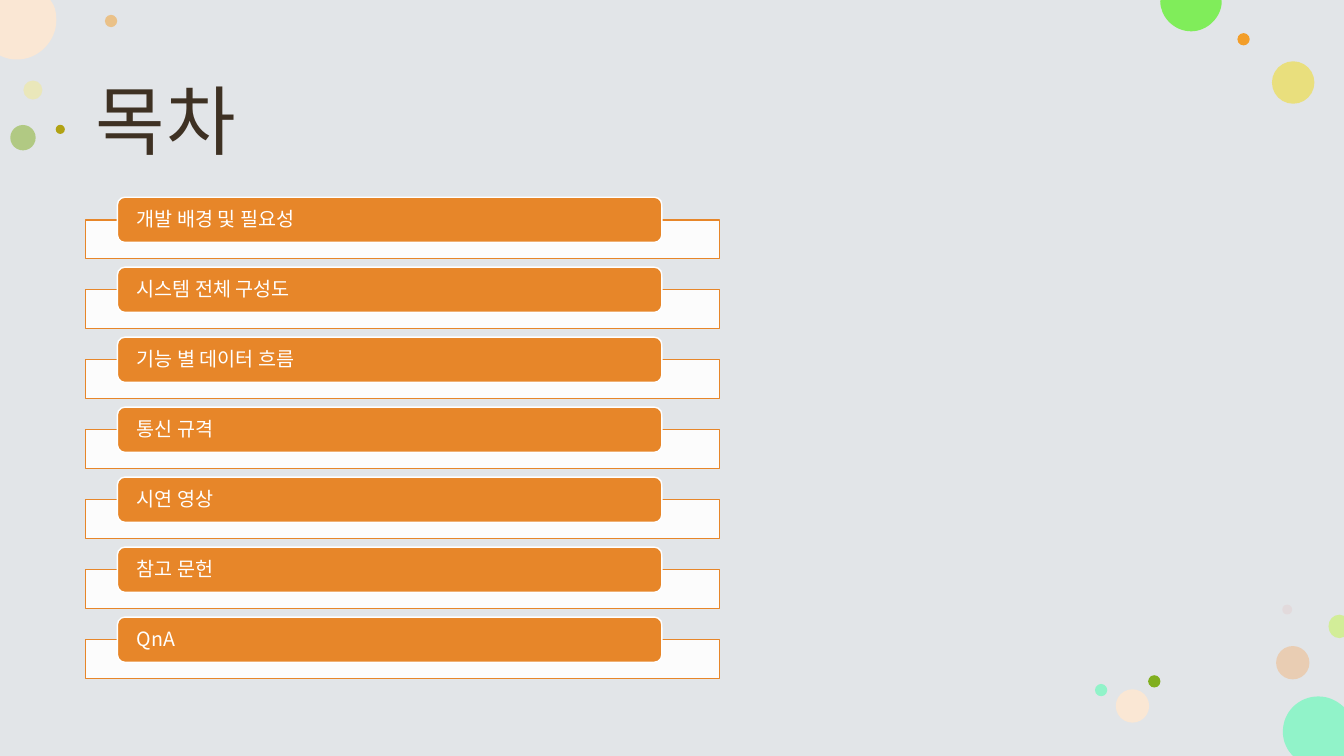
from dataclasses import dataclass

from lxml import etree
from pptx import Presentation
from pptx import util as u
from pptx.dml.color import RGBColor
from pptx.enum import shapes, text
from pptx.oxml.ns import qn

FONT = "Noto Sans CJK KR"
SLIDE_W, SLIDE_H = 33.87, 19.05

BACKGROUND = RGBColor(0xE2, 0xE5, 0xE8)
BROWN = RGBColor(0x3E, 0x31, 0x23)
WHITE = RGBColor(0xFF, 0xFF, 0xFF)
ACCENT = RGBColor(0xE7, 0x86, 0x29)
PALE_YELLOW = RGBColor(0xF3, 0xE9, 0x8E)
YELLOW = RGBColor(0xED, 0xDE, 0x55)
ORANGE = RGBColor(0xF3, 0x9E, 0x29)
PEACH = RGBColor(0xF1, 0xB6, 0x7F)
CREAM = RGBColor(0xFA, 0xE7, 0xD4)
ROSE = RGBColor(0xE3, 0xBE, 0xBE)
GREEN = RGBColor(0x81, 0xAF, 0x1F)
BRIGHT_GREEN = RGBColor(0x80, 0xED, 0x5A)
LIME = RGBColor(0xD2, 0xED, 0x98)
MINT = RGBColor(0x91, 0xF3, 0xC9)
OLIVE = RGBColor(0xB1, 0xA2, 0x13)

TOPICS = [
    "개발 배경 및 필요성",
    "시스템 전체 구성도",
    "기능 별 데이터 흐름",
    "통신 규격",
    "시연 영상",
    "참고 문헌",
    "QnA",
]
FIRST_TOP, LAST_TOP = 4.97, 15.55
PITCH = (LAST_TOP - FIRST_TOP) / (len(TOPICS) - 1)

Point = tuple[float, float]


@dataclass(frozen=True)
class Bubble:
    x: float
    y: float
    diameter: float
    color: RGBColor
    opacity: int = 100


@dataclass(frozen=True)
class EdgeBubble:
    color: RGBColor
    start: Point
    segments: list[list[Point]]


BUBBLES = [
    Bubble(0.83, 2.27, 0.48, PALE_YELLOW, 50),
    Bubble(2.8, 0.53, 0.31, ORANGE, 50),
    Bubble(32.58, 16.7, 0.84, PEACH, 50),
    Bubble(0.58, 3.47, 0.64, GREEN, 50),
    Bubble(32.59, 2.08, 1.07, YELLOW, 72),
    Bubble(31.34, 0.99, 0.31, ORANGE),
    Bubble(32.44, 15.36, 0.25, ROSE, 28),
    Bubble(29.09, 17.17, 0.31, GREEN),
    Bubble(28.54, 17.79, 0.84, CREAM),
    Bubble(27.75, 17.39, 0.31, MINT),
    Bubble(1.52, 3.26, 0.23, OLIVE),
]

EDGE_BUBBLES = [
    EdgeBubble(MINT, (33.22, 17.55), [
        [(33.48, 17.55), (33.68, 17.65), (33.86, 17.81)],
        [(33.87, 17.83)], [(33.87, 19.05)], [(32.59, 19.05)], [(32.54, 19)],
        [(32.41, 18.85), (32.33, 18.65), (32.33, 18.44)],
        [(32.33, 17.93), (32.74, 17.55), (33.22, 17.55)],
    ]),
    EdgeBubble(CREAM, (0, 0), [
        [(1.27, 0)], [(1.35, 0.13)],
        [(1.4, 0.23), (1.42, 0.36), (1.42, 0.51)],
        [(1.42, 1.04), (0.97, 1.5), (0.43, 1.5)],
        [(0.28, 1.5), (0.15, 1.47), (0.05, 1.42)],
        [(0, 1.4)],
    ]),
    EdgeBubble(BRIGHT_GREEN, (29.25, 0), [
        [(30.78, 0)], [(30.79, 0.03)],
        [(30.79, 0.43), (30.43, 0.79), (30.02, 0.79)],
        [(29.59, 0.79), (29.24, 0.43), (29.24, 0.03)],
    ]),
    EdgeBubble(LIME, (33.76, 15.49), [
        [(33.87, 15.52)], [(33.87, 16.05)], [(33.76, 16.08)],
        [(33.6, 16.08), (33.48, 15.95), (33.48, 15.78)],
        [(33.48, 15.62), (33.6, 15.49), (33.76, 15.49)],
    ]),
]


def paint(sp, color: RGBColor, opacity: int = 100, line: RGBColor | None = None) -> None:
    sp.shadow.inherit = False
    sp.fill.solid()
    sp.fill.fore_color.rgb = color
    if opacity < 100:
        srgb = sp.fill._xPr.find(qn("a:solidFill"))[0]
        etree.SubElement(srgb, qn("a:alpha"), val=str(opacity * 1000))
    if line is None:
        sp.line.fill.background()
    else:
        sp.line.color.rgb = line
        sp.line.width = u.Pt(1)


def add_preset(s, kind, left: float, top: float, width: float, height: float):
    return s.shapes.add_shape(kind, u.Cm(left), u.Cm(top), u.Cm(width), u.Cm(height))


def add_bubble(s, b: Bubble) -> None:
    radius = b.diameter / 2
    sp = add_preset(s, shapes.MSO_SHAPE.OVAL, b.x - radius, b.y - radius,
                    b.diameter, b.diameter)
    paint(sp, b.color, b.opacity)


def add_edge_bubble(s, b: EdgeBubble) -> None:
    builder = s.shapes.build_freeform(u.Cm(b.start[0]), u.Cm(b.start[1]))
    points = [(u.Cm(x), u.Cm(y)) for segment in b.segments for x, y in segment]
    builder.add_line_segments(points, close=True)
    sp = builder.convert_to_shape()
    steps = iter(list(sp._element.iter(qn("a:lnTo"))))
    for segment in b.segments:
        group = [next(steps) for _ in segment]
        if len(group) == 3:
            curve = etree.Element(qn("a:cubicBezTo"))
            group[0].addprevious(curve)
            for step in group:
                curve.append(step[0])
                step.getparent().remove(step)
    paint(sp, b.color)


def write(sp, content: str, size: float, color: RGBColor, spacing: float,
          insets: tuple[float, float, float, float]):
    tf = sp.text_frame
    tf.text = content
    tf.word_wrap = True
    tf.auto_size = text.MSO_AUTO_SIZE.NONE
    tf.vertical_anchor = text.MSO_ANCHOR.MIDDLE
    tf.margin_left, tf.margin_top, tf.margin_right, tf.margin_bottom = map(u.Cm, insets)
    p = tf.paragraphs[0]
    p.alignment = text.PP_ALIGN.LEFT
    p.line_spacing = spacing
    p.font.size = u.Pt(size)
    p.font.color.rgb = color
    p.font.name = FONT
    p.font._rPr.set("kern", "1200")
    etree.SubElement(p.font._rPr, qn("a:ea"), typeface=FONT)
    return p


def add_title(s) -> None:
    title = s.shapes.title
    title.left, title.top = u.Cm(2.11), u.Cm(1.02)
    title.width, title.height = u.Cm(29.62), u.Cm(3.68)
    p = write(title, "목차", 54, BROWN, 1.1, (0.3, 0.3, 0.3, 0.25))
    p.font._rPr.set("spc", "100")


def add_topic(s, topic: str, top: float) -> None:
    frame = add_preset(s, shapes.MSO_SHAPE.RECTANGLE, 2.16, top + 0.57, 15.98, 0.98)
    paint(frame, WHITE, 90, ACCENT)
    bar = add_preset(s, shapes.MSO_SHAPE.ROUNDED_RECTANGLE, 2.96, top, 13.72, 1.14)
    paint(bar, ACCENT, line=WHITE)
    write(bar, topic, 14, WHITE, 0.9, (0.43, 0, 0.43, 0))


def main() -> None:
    prs = Presentation()
    prs.slide_width, prs.slide_height = u.Cm(SLIDE_W), u.Cm(SLIDE_H)
    s = prs.slides.add_slide(prs.slide_layouts[5])
    backdrop = add_preset(s, shapes.MSO_SHAPE.RECTANGLE, 0, 0, SLIDE_W, SLIDE_H)
    paint(backdrop, BACKGROUND)
    s.shapes._spTree.insert(2, backdrop._element)
    for bubble in BUBBLES:
        add_bubble(s, bubble)
    for edge_bubble in EDGE_BUBBLES:
        add_edge_bubble(s, edge_bubble)
    add_title(s)
    for i, topic in enumerate(TOPICS):
        add_topic(s, topic, FIRST_TOP + i * PITCH)
    prs.save("out.pptx")


if __name__ == "__main__":
    main()
